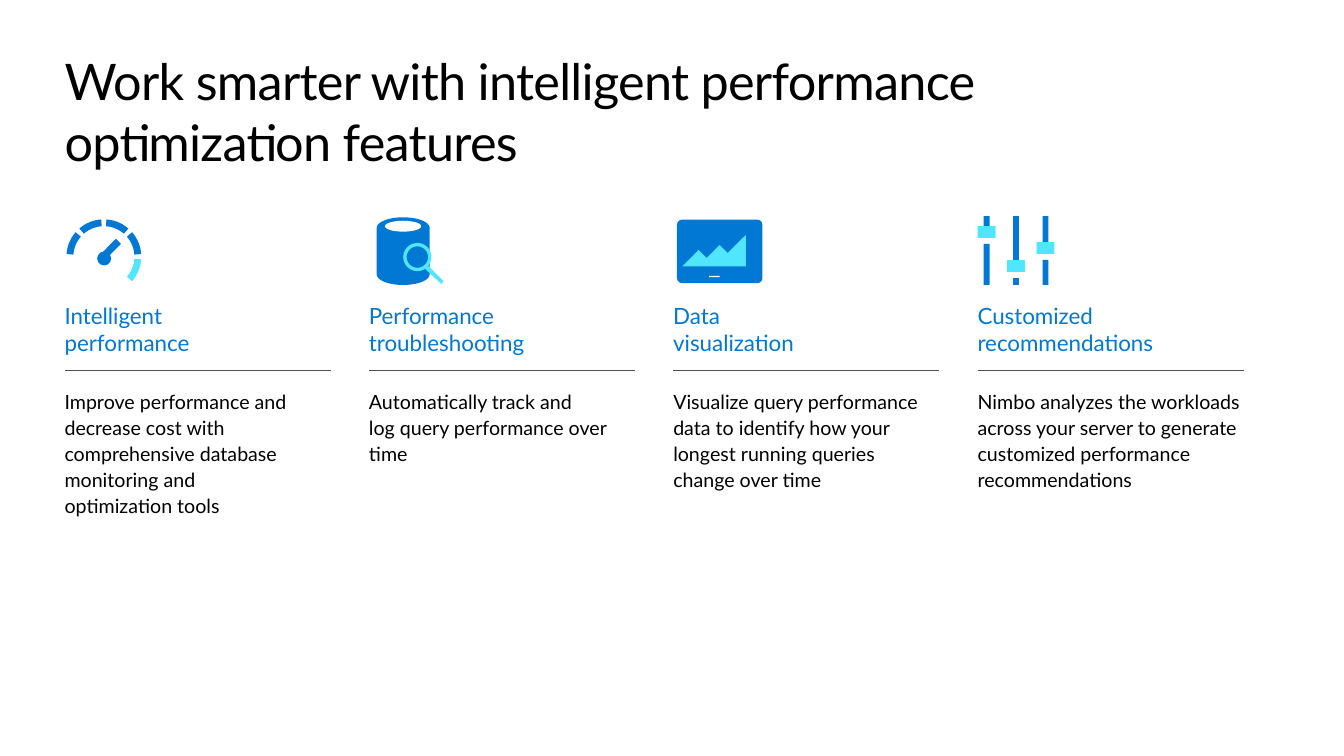
from math import cos, radians, sin

from lxml import etree
from pptx import Presentation
from pptx.dml.color import RGBColor
from pptx.enum.shapes import MSO_CONNECTOR, MSO_SHAPE
from pptx.oxml.ns import qn
from pptx.util import Pt

RECT, OVAL = MSO_SHAPE.RECTANGLE, MSO_SHAPE.OVAL
ROUNDED, RING = MSO_SHAPE.ROUNDED_RECTANGLE, MSO_SHAPE.DONUT
STRAIGHT = MSO_CONNECTOR.STRAIGHT

BLUE = RGBColor(0x00, 0x78, 0xD4)
CYAN = RGBColor(0x50, 0xE6, 0xFF)
WHITE = RGBColor(0xFF, 0xFF, 0xFF)
BLACK = RGBColor(0x00, 0x00, 0x00)
GRAY = RGBColor(0x50, 0x50, 0x50)

TITLE = "Work smarter with intelligent performance\noptimization features"
FEATURES = [
    ("Intelligent\nperformance", 173,
     "Improve performance and decrease cost with comprehensive database "
     "monitoring and optimization tools", 173),
    ("Performance troubleshooting", 173,
     "Automatically track and\nlog query performance over time", 173),
    ("Data\nvisualization", 144,
     "Visualize query performance data to identify how your longest running "
     "queries change over time", 184.5),
    ("Customized recommendations", 153.5,
     "Nimbo analyzes the workloads across your server to generate customized "
     "performance recommendations", 190),
]

LEFT, PITCH, RULE_WIDTH = 46.1, 217.4, 190
HEADING_TOP, RULE_TOP, BODY_TOP = 216, 265, 277.2

GAUGE_CENTER, GAUGE_OUTER, GAUGE_INNER = (74.2, 183.4), 26.7, 21.8
GAUGE_SEGMENTS = [(4, CYAN), (-41, BLUE), (-86, BLUE), (-131, BLUE), (-176, BLUE)]
SEGMENT_SWEEP = 37
NEEDLE = [(74.9, 185.8), (71.3, 182.2), (82.8, 170.6), (86.4, 174.2)]
HANDLE = [(303.1, 191.5), (305.3, 189.4), (316.8, 200.9), (315.4, 203)]
CHART_AREA = [(487.4, 190.3), (499, 178.6), (504.7, 184.3), (514.1, 175),
              (519.8, 180.7), (532.8, 167.8), (532.8, 190.3)]
TRACK_TOP, TRACK_BOTTOM, TRACK_WIDTH = 154.4, 203.5, 4.2
KNOB_TOPS, KNOB_WIDTH, KNOB_HEIGHT = (161.5, 185.8, 172.9), 12.8, 8.5
KNOB_LEFT, KNOB_PITCH = 698.4, 21

deck = Presentation()
deck.slide_width, deck.slide_height = Pt(960), Pt(540)
slide = deck.slides.add_slide(deck.slide_layouts[6])


def add_text(text, left, top, width, height, size, color, line_spacing=None,
             space_after=None, tracking=None):
    frame = slide.shapes.add_textbox(Pt(left), Pt(top), Pt(width), Pt(height)).text_frame
    frame.word_wrap = True
    frame.margin_left = frame.margin_top = frame.margin_right = frame.margin_bottom = 0
    paragraph = frame.paragraphs[0]
    paragraph.text = text.replace("\n", "\v")
    paragraph.line_spacing = line_spacing
    paragraph.space_after = space_after
    for run in paragraph.runs:
        run.font.name, run.font.size = "Lato", Pt(size)
        run.font.color.rgb = color
        if tracking:
            run.font._element.set("spc", str(tracking))


def paint(shape, color):
    shape.shadow.inherit = False
    shape.fill.solid()
    shape.fill.fore_color.rgb = color
    shape.line.fill.background()
    return shape


def add_preset(icon, kind, left, top, width, height, color):
    return paint(icon.shapes.add_shape(kind, Pt(left), Pt(top), Pt(width), Pt(height)), color)


def add_outline(icon, points, color):
    start, *rest = [(Pt(x), Pt(y)) for x, y in points]
    builder = icon.shapes.build_freeform(*start, scale=1.0)
    builder.add_line_segments(rest, close=True)
    paint(builder.convert_to_shape(), color)


def arc(center, radius_x, radius_y, start, sweep, steps=24):
    angles = [radians(start + sweep * step / steps) for step in range(steps + 1)]
    return [(center[0] + radius_x * cos(a), center[1] + radius_y * sin(a)) for a in angles]


def draw_gauge(icon):
    for start, color in GAUGE_SEGMENTS:
        outer = arc(GAUGE_CENTER, GAUGE_OUTER, GAUGE_OUTER, start, SEGMENT_SWEEP)
        inner = arc(GAUGE_CENTER, GAUGE_INNER, GAUGE_INNER, start, SEGMENT_SWEEP)
        add_outline(icon, outer + inner[::-1], color)
    add_preset(icon, OVAL, 69.4, 179.6, 10, 10, BLUE)
    add_outline(icon, NEEDLE, BLUE)


def draw_database(icon):
    cylinder = arc((288, 162.8), 18.9, 7.6, 180, 180) + arc((288, 196), 18.9, 7.6, 0, 180)
    add_outline(icon, cylinder, BLUE)
    add_preset(icon, OVAL, 275, 157.7, 25.9, 7.8, WHITE)
    add_outline(icon, HANDLE, CYAN)
    lens = add_preset(icon, RING, 288, 173.5, 20.2, 20.2, CYAN)
    lens.adjustments[0] = 0.12


def draw_monitor(icon):
    screen = add_preset(icon, ROUNDED, 483.6, 156.9, 61, 45.4, BLUE)
    screen.adjustments[0] = 0.08
    add_outline(icon, CHART_AREA, CYAN)
    add_preset(icon, RECT, 506.6, 197, 7.4, 1, WHITE)


def draw_sliders(icon):
    for index, knob_top in enumerate(KNOB_TOPS):
        knob_left = KNOB_LEFT + index * KNOB_PITCH
        track_left = knob_left + (KNOB_WIDTH - TRACK_WIDTH) / 2
        lower_top = knob_top + KNOB_HEIGHT + 4.3
        add_preset(icon, RECT, track_left, TRACK_TOP, TRACK_WIDTH, knob_top - TRACK_TOP, BLUE)
        add_preset(icon, RECT, track_left, lower_top, TRACK_WIDTH, TRACK_BOTTOM - lower_top, BLUE)
        add_preset(icon, RECT, knob_left, knob_top, KNOB_WIDTH, KNOB_HEIGHT, CYAN)


add_text(TITLE, LEFT, 36, 867.6, 87, 36, BLACK, tracking=-50)

for draw_icon in (draw_gauge, draw_database, draw_monitor, draw_sliders):
    draw_icon(slide.shapes.add_group_shape())

for column, (heading, heading_width, body, body_width) in enumerate(FEATURES):
    left = LEFT + column * PITCH
    add_text(heading, left, HEADING_TOP, heading_width, 38.9, 16, BLUE)
    rule = slide.shapes.add_connector(
        STRAIGHT, Pt(left), Pt(RULE_TOP), Pt(left + RULE_WIDTH), Pt(RULE_TOP))
    rule.line.color.rgb, rule.line.width = GRAY, Pt(0.75)
    etree.SubElement(rule._element.spPr, qn("a:effectLst"))
    add_text(body, left, BODY_TOP, body_width, 92, 14, BLACK,
             line_spacing=1.1, space_after=Pt(6))

deck.save("out.pptx")
